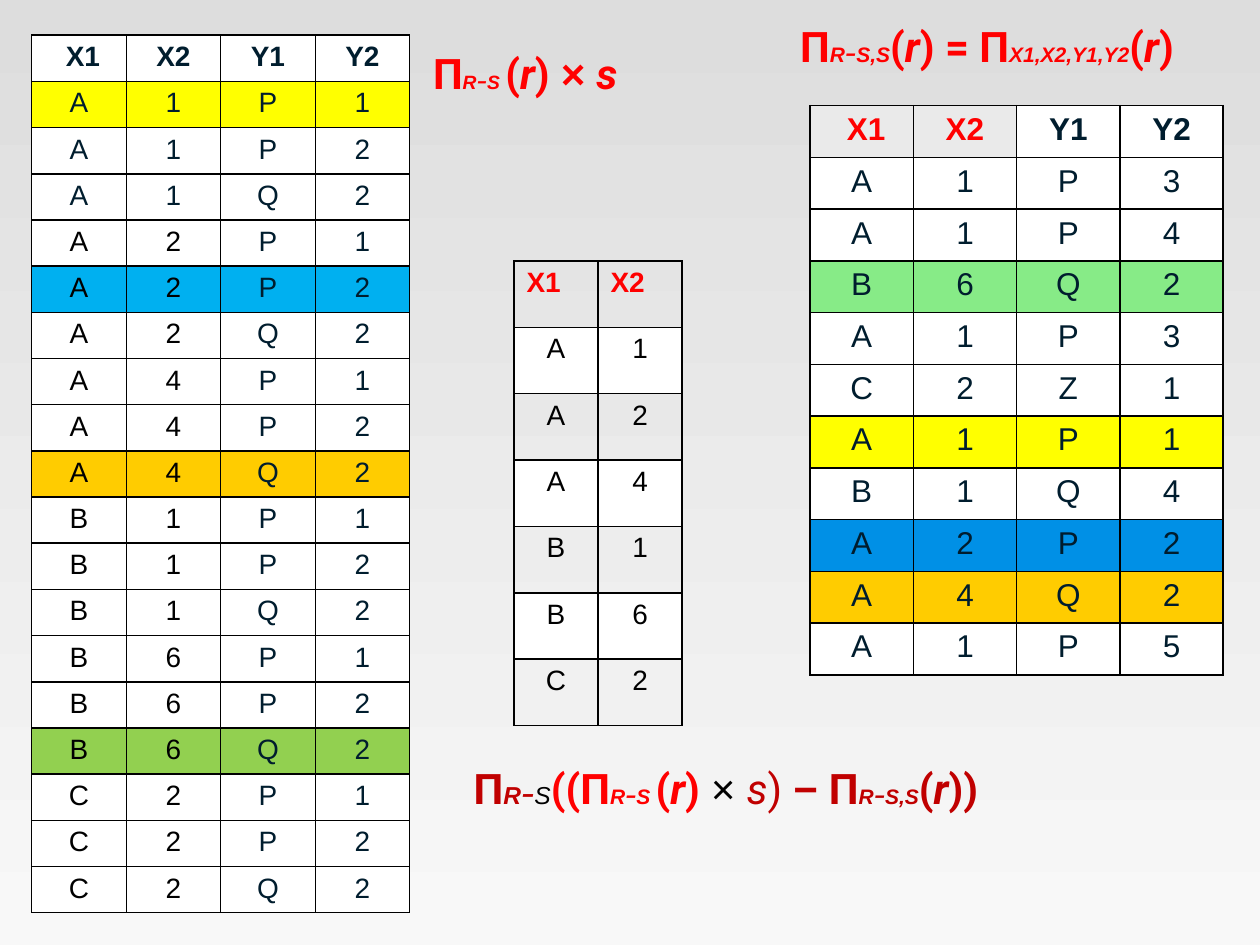
from dataclasses import dataclass, field
from typing import NamedTuple, Optional

from lxml.etree import SubElement as Sub
from pptx import Presentation
from pptx.dml.color import RGBColor as RGB
from pptx.enum.text import MSO_AUTO_SIZE as Fit, PP_ALIGN as Align
from pptx.oxml.ns import qn
from pptx.util import Cm, Pt

# Colours
BLACK, WHITE = RGB(0, 0, 0), RGB(255, 255, 255)
NAVY = RGB(0x00, 0x1D, 0x2E)
RED, MAROON = RGB(0xFF, 0, 0), RGB(0xC0, 0, 0)
YELLOW, AMBER = RGB(0xFF, 0xFF, 0), RGB(0xFF, 0xCC, 0)
SKY, BLUE = RGB(0, 0xB0, 0xF0), RGB(0, 0x90, 0xE6)
GREEN, MINT = RGB(0x92, 0xD0, 0x50), RGB(0x87, 0xEB, 0x87)
GREY = RGB(0xEA, 0xEA, 0xEA)
TOP, BASE = RGB(0xDD, 0xDD, 0xDD), RGB(0xF8, 0xF8, 0xF8)


class Run(NamedTuple):
    text: str
    size: float = 24
    name: str = "Roboto"
    color: RGB = RED
    bold: bool = True
    italic: bool = False


@dataclass
class Formula:
    box: tuple
    runs: list
    wrap: bool = True


@dataclass
class Grid:
    box: tuple
    head: list
    rows: str                                  # one word a row, one letter a cell
    size: int
    marks: dict = field(default_factory=dict)  # row number to fill
    inks: dict = field(default_factory=dict)   # header column to text colour
    ink: RGB = NAVY
    keys: Optional[int] = None                 # first row with black key columns
    glass: bool = False                        # see-through bands, left header


def style(run, item: Run) -> None:
    run.text = item.text
    look = dict(size=Pt(item.size), name=item.name, bold=item.bold, italic=item.italic)
    for key, value in look.items():
        setattr(run.font, key, value)
    run.font.color.rgb = item.color


def border(cell) -> None:
    props = cell._tc.get_or_add_tcPr()
    for side in ("a:lnL", "a:lnR", "a:lnT", "a:lnB"):
        line = Sub(props, qn(side), w=str(Pt(1)))
        Sub(Sub(line, qn("a:solidFill")), qn("a:srgbClr"), val=str(BLACK))


def paint(cell, color: Optional[RGB], alpha: int = 100) -> None:
    if color is None:
        cell.fill.background()
        return
    cell.fill.solid()
    cell.fill.fore_color.rgb = color
    if alpha < 100:
        tint = cell._tc.tcPr.find(".//" + qn("a:srgbClr"))
        Sub(tint, qn("a:alpha"), val=str(alpha * 1000))


def draw_grid(slide, grid: Grid) -> None:
    lines = [grid.head, *grid.rows.split()]
    shape = slide.shapes.add_table(len(lines), len(grid.head), *map(Cm, grid.box))
    table = shape.table
    table.first_row = table.horz_banding = False
    for r, line in enumerate(lines):
        for c, text in enumerate(line):
            cell = table.cell(r, c)
            border(cell)
            ink = grid.ink
            if r == 0:
                ink = grid.inks.get(c, ink)
            elif grid.keys and r >= grid.keys and c < 2:
                ink = BLACK
            if grid.glass:
                paint(cell, WHITE if r % 2 else None, 20)
            elif r == 0 and c in grid.inks:
                paint(cell, GREY)
            else:
                paint(cell, grid.marks.get(r, WHITE))
            para = cell.text_frame.paragraphs[0]
            if r or not grid.glass:
                para.alignment = Align.CENTER
            style(para.add_run(), Run(text, grid.size, "Arial", ink, r == 0))


def draw_formula(slide, item: Formula) -> None:
    frame = slide.shapes.add_textbox(*map(Cm, item.box)).text_frame
    frame.word_wrap = item.wrap
    frame.auto_size = Fit.SHAPE_TO_FIT_TEXT
    para = frame.paragraphs[0]
    for run in item.runs:
        style(para.add_run(), run)


def low(text: str, size: float = 12, color: RGB = RED, bold: bool = True) -> Run:
    return Run(text, size, "Arial", color, bold, True)


def minus(size: float = 12, color: RGB = RED) -> Run:
    return Run("−", size, color=color, italic=True)


def rel(end: str, color: RGB = RED) -> list:
    """The relation (r), closed by the given text."""
    return [Run("(", color=color), Run("r", color=color, italic=True),
            Run(end, color=color)]


def proj(tail: str, size: float = 12, color: RGB = RED, sign: str = "Π") -> list:
    """A projection sign with its R−tail index."""
    return [Run(sign, color=color), low("R", size, color), minus(size, color),
            low(tail, size, color)]


HEAD = [" X1", "X2", "Y1", "Y2"]
KEYS = {0: RED, 1: RED}

GRIDS = [
    # Projection on X1, X2
    Grid((10.36, 5.26, 3.39, 9.37), ["X1", "X2"], "A1 A2 A4 B1 B6 C2", 16,
         inks=KEYS, ink=BLACK, glass=True),
    # Cross product
    Grid((0.64, 0.71, 7.62, 17.7), HEAD,
         "A1P1 A1P2 A1Q2 A2P1 A2P2 A2Q2 A4P1 A4P2 A4Q2 "
         "B1P1 B1P2 B1Q2 B6P1 B6P2 B6Q2 C2P1 C2P2 C2Q2", 16,
         marks={1: YELLOW, 5: SKY, 9: AMBER, 15: GREEN}, keys=4),
    # Relation r
    Grid((16.33, 2.13, 8.33, 11.48), HEAD,
         "A1P3 A1P4 B6Q2 A1P3 C2Z1 A1P1 B1Q4 A2P2 A4Q2 A1P5", 18,
         marks={3: MINT, 6: YELLOW, 8: BLUE, 9: AMBER}, inks=KEYS),
]

FORMULAS = [
    Formula((8.48, 0.84, 4.37, 1.3),
            [*proj("S ", 11), *rel(") "), low("× ", 24), Run("s", italic=True)],
            wrap=False),
    Formula((15.88, 0.28, 8.69, 1.3),
            [*proj("S,S"), *rel(") = Π"), low("X1,X2,Y1,Y2"), *rel(")")]),
    Formula((9.3, 15.24, 11.66, 1.3),
            [*proj("S", 14, MAROON)[:3], low("S", 14, BLACK, False),
             *proj("S", sign="((Π"), low(" ", 10.5), *rel(") "),
             low("× ", 24, BLACK, False),
             Run("s", color=MAROON, bold=False, italic=True),
             Run(") ", color=MAROON, bold=False), low("− ", 24, MAROON),
             *proj("S,S", color=MAROON), *rel("))", MAROON)]),
]


def main() -> None:
    deck = Presentation()
    deck.slide_width, deck.slide_height = Cm(25.4), Cm(19.05)
    slide = deck.slides.add_slide(deck.slide_layouts[6])

    # Background, dark at the top
    fill = slide.background.fill
    fill.gradient()
    fill.gradient_angle = 270
    for stop, color in zip(fill.gradient_stops, (TOP, BASE)):
        stop.color.rgb = color

    for grid in GRIDS:
        draw_grid(slide, grid)
    for item in FORMULAS:
        draw_formula(slide, item)
    deck.save("out.pptx")


if __name__ == "__main__":
    main()
